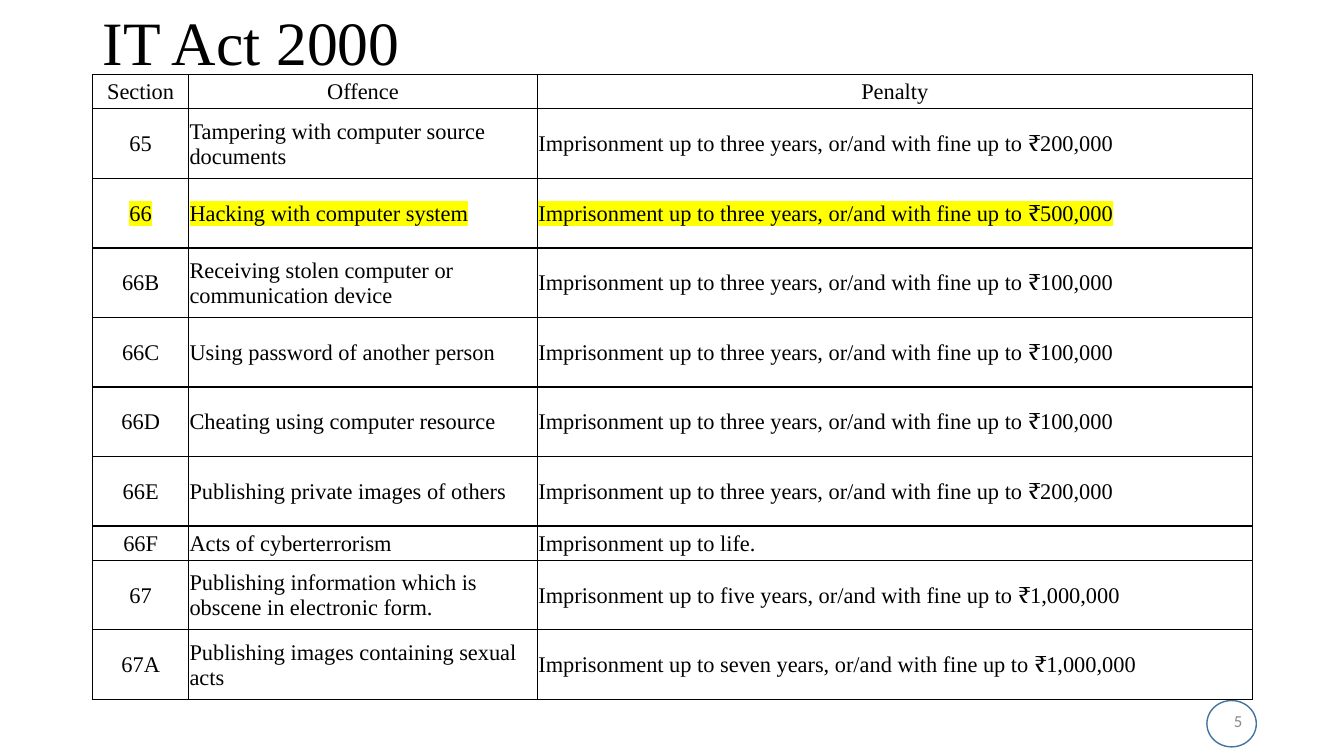
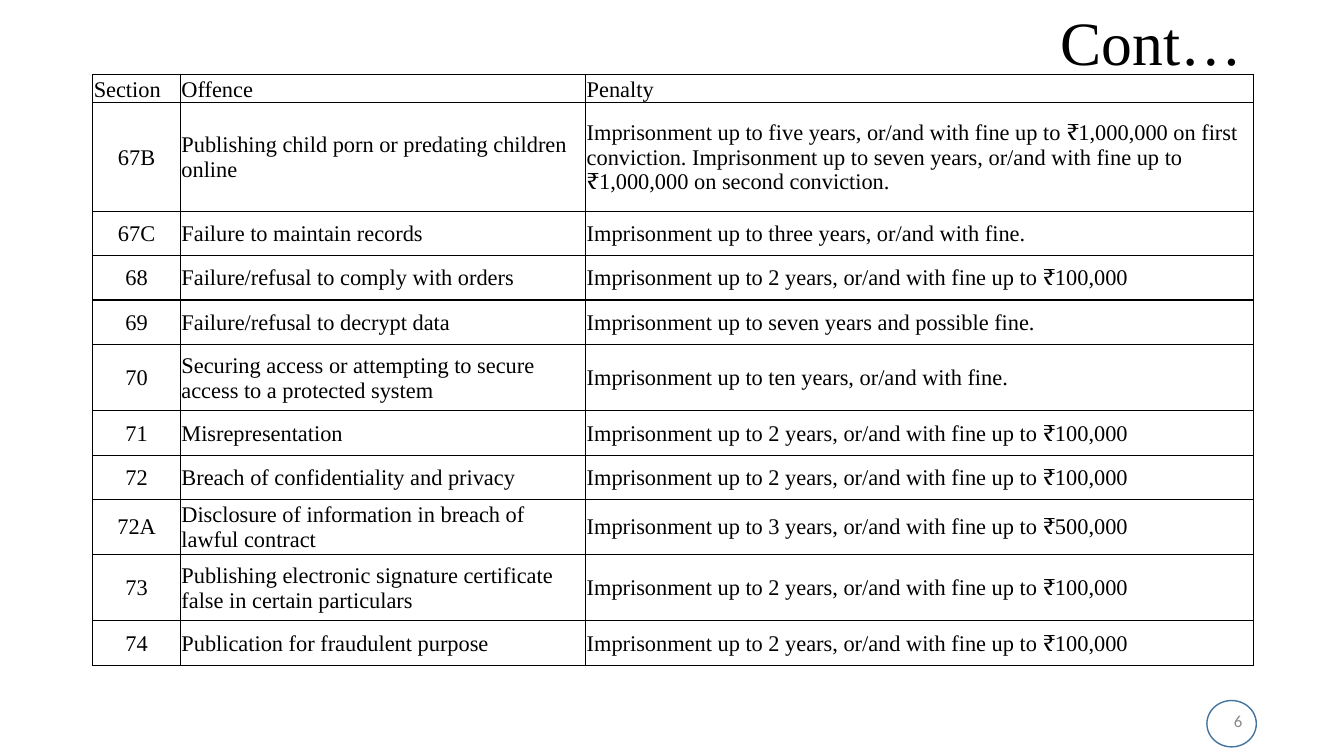
from lxml.etree import SubElement
from pptx import Presentation
from pptx.dml.color import RGBColor
from pptx.enum.shapes import MSO_SHAPE
from pptx.enum.text import MSO_ANCHOR, MSO_AUTO_SIZE, PP_ALIGN
from pptx.oxml.ns import qn
from pptx.util import Inches, Pt

SERIF, SANS = "Times New Roman", "Calibri"
BLACK, GREY, BLUE, YELLOW = "000000", "898989", "43739E", "FFFF00"
LEFT, WIDTH = 0.92, 11.5
HEAD = ("Section", "Offence", "Penalty")


def jail(term, fine):
    """Penalty wording for a prison term with a maximum fine."""
    return f"Imprisonment up to {term}, or/and with fine up to ₹{fine}"


SLIDES = [
    dict(
        title="IT Act 2000", align=PP_ALIGN.LEFT, number=5,
        head=(PP_ALIGN.CENTER, MSO_ANCHOR.MIDDLE), marked="66",
        cols=(0.95, 3.46, 7.09),
        heights=[0.34] + [0.69] * 6 + [0.34] + [0.69] * 2,
        rows=[
            ("65", "Tampering with computer source documents", jail("three years", "200,000")),
            ("66", "Hacking with computer system", jail("three years", "500,000")),
            ("66B", "Receiving stolen computer or communication device",
             jail("three years", "100,000")),
            ("66C", "Using password of another person", jail("three years", "100,000")),
            ("66D", "Cheating using computer resource", jail("three years", "100,000")),
            ("66E", "Publishing private images of others", jail("three years", "200,000")),
            ("66F", "Acts of cyberterrorism", "Imprisonment up to life."),
            ("67", "Publishing information which is obscene in electronic form.",
             jail("five years", "1,000,000")),
            ("67A", "Publishing images containing sexual acts",
             jail("seven years", "1,000,000")),
        ]),
    dict(
        title="Cont…", align=PP_ALIGN.RIGHT, number=6,
        head=(PP_ALIGN.LEFT, MSO_ANCHOR.BOTTOM), marked=None,
        cols=(0.87, 4.02, 6.62),
        heights=[0.22, 1.08] + [0.44] * 3 + [0.66] + [0.44] * 3 + [0.66, 0.44],
        rows=[
            ("67B", "Publishing child porn or predating children online",
             jail("five years", "1,000,000") + " on first conviction. "
             + jail("seven years", "1,000,000") + " on second conviction."),
            ("67C", "Failure to maintain records",
             "Imprisonment up to three years, or/and with fine."),
            ("68", "Failure/refusal to comply with orders", jail("2 years", "100,000")),
            ("69", "Failure/refusal to decrypt data",
             "Imprisonment up to seven years and possible fine."),
            ("70", "Securing access or attempting to secure access to a protected system",
             "Imprisonment up to ten years, or/and with fine."),
            ("71", "Misrepresentation", jail("2 years", "100,000")),
            ("72", "Breach of confidentiality and privacy", jail("2 years", "100,000")),
            ("72A", "Disclosure of information in breach of lawful contract",
             jail("3 years", "500,000")),
            ("73", "Publishing electronic signature certificate false in certain particulars",
             jail("2 years", "100,000")),
            ("74", "Publication for fraudulent purpose", jail("2 years", "100,000")),
        ]),
]


def color(code):
    return RGBColor.from_string(code)


def write(frame, text, size=16, font=SERIF, ink=BLACK, align=PP_ALIGN.LEFT,
          spacing=None, mark=None):
    para = frame.paragraphs[0]
    para.alignment = align
    para.line_spacing = spacing
    run = para.add_run()
    run.text = text
    run.font.size = Pt(size)
    run.font.color.rgb = color(ink)
    if mark:
        light = SubElement(run.font._element, qn("a:highlight"))
        SubElement(light, qn("a:srgbClr"), val=mark)
    run.font.name = font


def border(cell):
    props = cell._tc.get_or_add_tcPr()
    for side in "LRTB":
        line = SubElement(props, qn(f"a:ln{side}"), w=str(Pt(1)))
        fill = SubElement(line, qn("a:solidFill"))
        SubElement(fill, qn("a:srgbClr"), val=BLACK)


def add_title(slide, text, align):
    title = slide.shapes.title
    title.left, title.top = Inches(LEFT), Inches(0.15)
    title.width, title.height = Inches(WIDTH), Inches(0.6)
    frame = title.text_frame
    frame.auto_size = MSO_AUTO_SIZE.NONE
    frame.vertical_anchor = MSO_ANCHOR.MIDDLE
    write(frame, text, size=44, align=align, spacing=0.9)


def add_number(slide, number):
    ring = slide.shapes.add_shape(
        MSO_SHAPE.OVAL, Inches(11.97), Inches(6.95), Inches(0.49), Inches(0.46))
    ring.shadow.inherit = False
    ring.fill.background()
    ring.line.color.rgb = color(BLUE)
    ring.line.width = Pt(1)
    box = slide.shapes.add_textbox(
        Inches(9.42), Inches(6.95), Inches(3), Inches(0.4))
    frame = box.text_frame
    frame.word_wrap = True
    frame.vertical_anchor = MSO_ANCHOR.MIDDLE
    write(frame, str(number), size=12, font=SANS, ink=GREY, align=PP_ALIGN.RIGHT)


def add_grid(slide, page):
    rows = [HEAD] + page["rows"]
    table = slide.shapes.add_table(
        len(rows), len(HEAD), Inches(LEFT), Inches(0.74),
        Inches(WIDTH), Inches(sum(page["heights"]))).table
    table.first_row = table.horz_banding = False
    for col, width in zip(table.columns, page["cols"]):
        col.width = Inches(width)
    for r, (row, height) in enumerate(zip(rows, page["heights"])):
        table.rows[r].height = Inches(height)
        mark = YELLOW if row[0] == page["marked"] else None
        for c, text in enumerate(row):
            cell = table.cell(r, c)
            border(cell)
            cell.fill.background()
            cell.margin_left = cell.margin_right = cell.margin_top = Inches(0.01)
            cell.margin_bottom = 0
            align = PP_ALIGN.LEFT if c else PP_ALIGN.CENTER
            anchor = MSO_ANCHOR.MIDDLE
            if r == 0:
                align, anchor = page["head"]
            cell.vertical_anchor = anchor
            write(cell.text_frame, text, align=align, mark=mark)


def main():
    prs = Presentation()
    prs.slide_width, prs.slide_height = Inches(13.33), Inches(7.5)
    for page in SLIDES:
        slide = prs.slides.add_slide(prs.slide_layouts[5])
        add_title(slide, page["title"], page["align"])
        add_number(slide, page["number"])
        add_grid(slide, page)
    prs.save("out.pptx")


if __name__ == "__main__":
    main()
